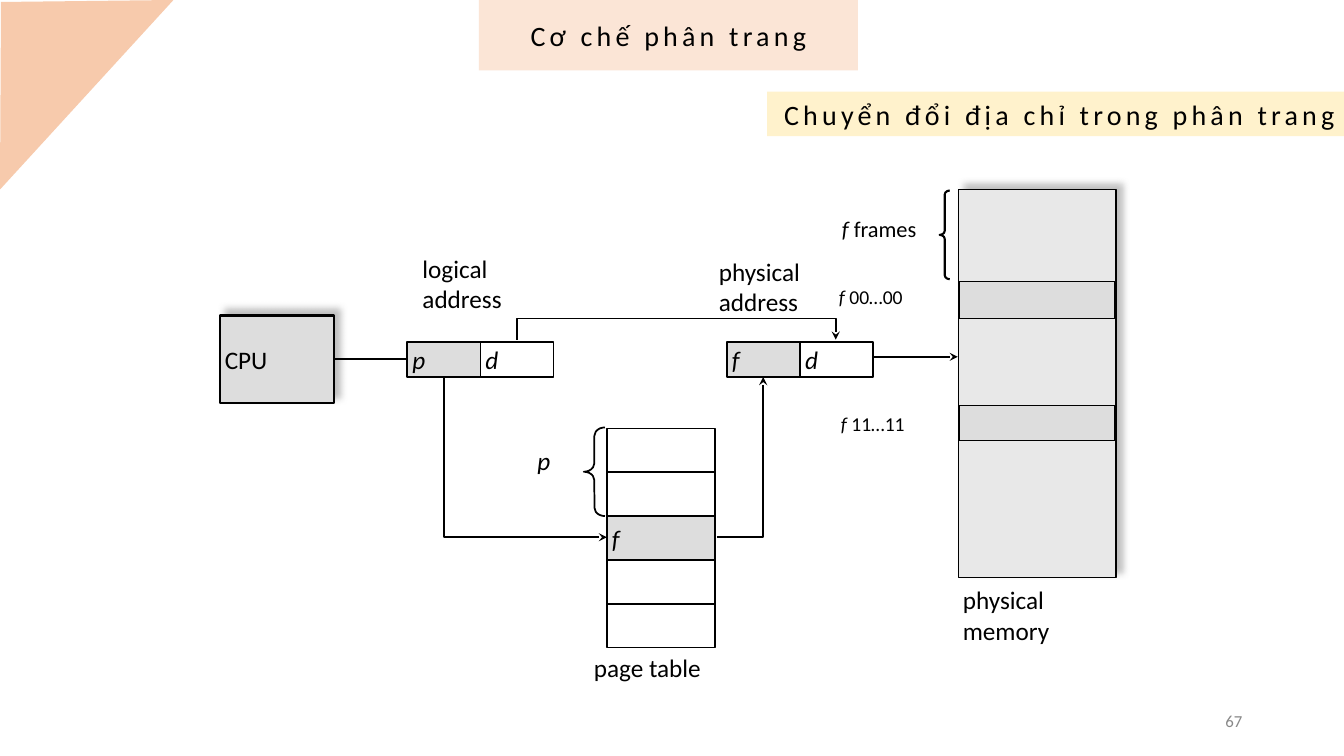
from dataclasses import dataclass

from lxml import etree
from pptx import Presentation
from pptx.dml.color import RGBColor
from pptx.enum.shapes import MSO_CONNECTOR, MSO_SHAPE
from pptx.enum.text import MSO_ANCHOR as ANCHOR, PP_ALIGN as ALIGN
from pptx.oxml.ns import qn
from pptx.util import Inches, Pt


@dataclass(frozen=True)
class Theme:
    font: str = "Calibri"
    ink: str = "000000"
    muted: str = "888888"
    shadow: str = "808080"
    marked: str = "DDDDDD"
    memory: str = "E8E8E8"
    title: str = "FBE5D6"
    subtitle: str = "FFF2CC"
    corner: str = "F7CAAC"
    heading: int = 20
    body: int = 18
    frames: int = 16
    address: int = 14
    number: int = 12


theme = Theme()


def style(sp, fill=None, line=None, arrow=False, shadow=False):
    """Set fill, line width in points, end arrow and shadow of a shape or connector."""
    if hasattr(sp, "fill"):
        if fill:
            sp.fill.solid()
            sp.fill.fore_color.rgb = RGBColor.from_string(fill)
        else:
            sp.fill.background()
    if line:
        sp.line.width = Pt(line)
        sp.line.color.rgb = RGBColor.from_string(theme.ink)
    else:
        sp.line.fill.background()
    spPr = sp._element.spPr
    if arrow:
        etree.SubElement(spPr.find(qn("a:ln")), qn("a:tailEnd"), type="stealth")
    effects = etree.SubElement(spPr, qn("a:effectLst"))
    if shadow:
        outer = etree.SubElement(effects, qn("a:outerShdw"), blurRad=str(Pt(5)),
                                 dist=str(Pt(5.7)), dir=str(315 * 60000),
                                 algn="ctr", rotWithShape="0")
        color = etree.SubElement(outer, qn("a:srgbClr"), val=theme.shadow)
        etree.SubElement(color, qn("a:alpha"), val="50000")


def write(sp, text, lead="", size=theme.body, color=theme.ink, align=ALIGN.LEFT,
          anchor=ANCHOR.MIDDLE, inset=(0.05, 0.05), wrap=True, spacing=0):
    """Fill a shape with one paragraph per line, after an optional italic lead."""
    tf = sp.text_frame
    tf.word_wrap = wrap
    tf.vertical_anchor = anchor
    tf.margin_left = tf.margin_right = Inches(inset[0])
    tf.margin_top = tf.margin_bottom = Inches(inset[1])
    for i, row in enumerate(text.split("\n")):
        p = tf.paragraphs[0] if i == 0 else tf.add_paragraph()
        p.alignment = align
        for part, italic in ((lead, True), (row, False)):
            if part:
                r = p.add_run()
                r.text = part
                r.font.name = theme.font
                r.font.size = Pt(size)
                r.font.italic = italic
                r.font.color.rgb = RGBColor.from_string(color)
                if spacing:
                    r._r.get_or_add_rPr().set("spc", str(spacing * 100))


prs = Presentation()
prs.slide_width, prs.slide_height = Inches(13.33), Inches(7.5)
s = prs.slides.add_slide(prs.slide_layouts[6])
shapes = s.shapes

# CPU, physical memory and its two marked frames
for x, y, w, h, fill, line, shadow, text in [
    (2.18, 3.13, 1.13, 0.87, theme.marked, 1.5, True, "CPU"),
    (9.51, 1.88, 1.56, 3.85, theme.memory, 1, True, ""),
    (9.51, 2.79, 1.55, 0.37, theme.marked, 1, False, ""),
    (9.51, 4.02, 1.55, 0.35, theme.marked, 1, False, ""),
]:
    block = shapes.add_shape(MSO_SHAPE.RECTANGLE, Inches(x), Inches(y), Inches(w), Inches(h))
    style(block, fill, line, shadow=shadow)
    if text:
        write(block, text)

# Logical and physical address: number and offset side by side
FIELD_W = 0.725
for left, names in ((4.04, "pd"), (7.21, "fd")):
    for i, name in enumerate(names):
        field = shapes.add_shape(MSO_SHAPE.RECTANGLE, Inches(left + i * FIELD_W),
                                 Inches(3.39), Inches(FIELD_W), Inches(0.35))
        style(field, theme.marked if i == 0 else None, 1.25)
        write(field, "", lead=name)

# Page table
ENTRY_H = 0.435
for i in range(5):
    entry = shapes.add_shape(MSO_SHAPE.RECTANGLE, Inches(6.02), Inches(4.25 + i * ENTRY_H),
                             Inches(1.07), Inches(ENTRY_H))
    style(entry, theme.marked if i == 2 else None, 1.25)
    if i == 2:
        write(entry, "", lead="f")

# Straight links
for x1, x2, y, arrow in ((3.32, 4.03, 3.56, False), (8.67, 9.5, 3.54, True)):
    link = shapes.add_connector(MSO_CONNECTOR.STRAIGHT, Inches(x1), Inches(y),
                                Inches(x2), Inches(y))
    style(link, line=1.25, arrow=arrow)

# Bent arrows
for points in [
    [(5.13, 3.37), (5.13, 3.16), (8.29, 3.16), (8.29, 3.37)],
    [(4.4, 3.74), (4.4, 5.33), (6.02, 5.33)],
    [(7.11, 5.33), (7.57, 5.33), (7.57, 3.74)],
]:
    start, *rest = [(Inches(x), Inches(y)) for x, y in points]
    builder = shapes.build_freeform(*start)
    builder.add_line_segments(rest, close=False)
    style(builder.convert_to_shape(), line=1.25, arrow=True)

# Braces
for x, y, w, h, line in ((5.79, 4.24, 0.21, 0.88, 1.25), (9.32, 1.89, 0.1, 0.88, 1.5)):
    brace = shapes.add_shape(MSO_SHAPE.LEFT_BRACE, Inches(x), Inches(y), Inches(w), Inches(h))
    brace.adjustments[0] = 0.4
    style(brace, line=line)

# Labels
plain = dict(anchor=ANCHOR.TOP, inset=(0, 0))
address = dict(size=theme.address, wrap=False)
for x, y, w, h, lead, text, look in [
    (4.19, 2.51, 1.07, 0.61, "", "logical\naddress", plain),
    (7.13, 2.54, 1.16, 0.61, "", "physical\naddress", plain),
    (9.55, 5.8, 1.34, 0.61, "", "physical\nmemory", plain),
    (5.33, 4.42, 0.25, 0.3, "p", "", plain),
    (5.89, 6.47, 1.28, 0.3, "", "page table", plain),
    (8.35, 2.13, 0.91, 0.27, "f", " frames", dict(plain, size=theme.frames)),
    (8.27, 2.77, 0.85, 0.34, "f ", "00…00", address),
    (8.29, 4.03, 0.82, 0.34, "f ", "11…11", address),
    (9.42, 6.95, 3, 0.4, "", "67",
     dict(size=theme.number, color=theme.muted, align=ALIGN.RIGHT, inset=(0.1, 0.05))),
]:
    label = shapes.add_textbox(Inches(x), Inches(y), Inches(w), Inches(h))
    write(label, text, lead=lead, **look)

# Headings and corner
for x, y, w, h, fill, align, text in [
    (4.75, 0, 3.76, 0.7, theme.title, ALIGN.CENTER, "Cơ chế phân trang"),
    (7.61, 0.91, 5.73, 0.44, theme.subtitle, ALIGN.RIGHT, "Chuyển đổi địa chỉ trong phân trang"),
]:
    heading = shapes.add_shape(MSO_SHAPE.RECTANGLE, Inches(x), Inches(y), Inches(w), Inches(h))
    style(heading, fill)
    write(heading, text, size=theme.heading, align=align, inset=(0.1, 0.05), spacing=3)

builder = shapes.build_freeform(Inches(0.01), Inches(0.02))
builder.add_line_segments([(0, Inches(1.88)), (Inches(1.72), 0)])
style(builder.convert_to_shape(), theme.corner)

prs.save("out.pptx")
